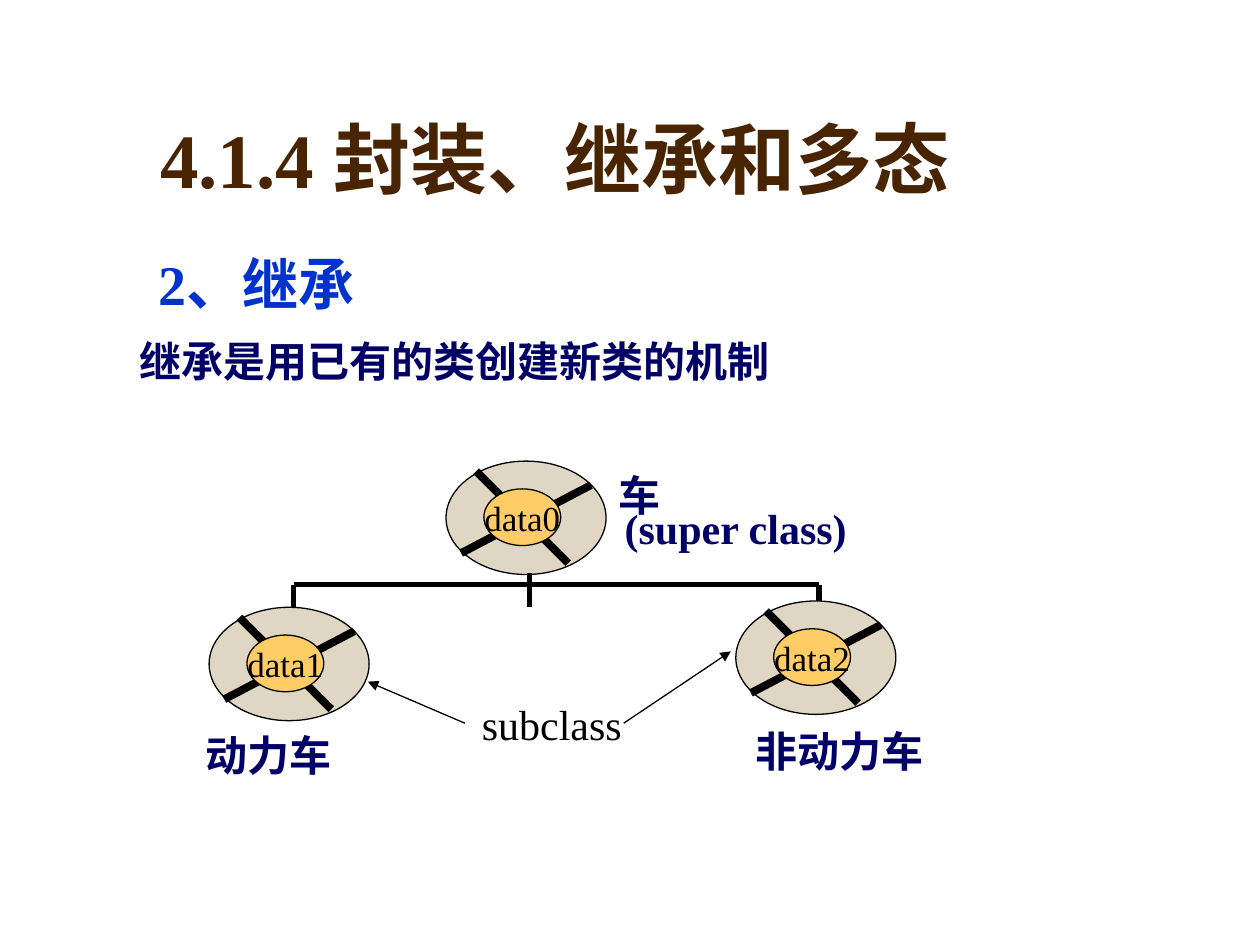
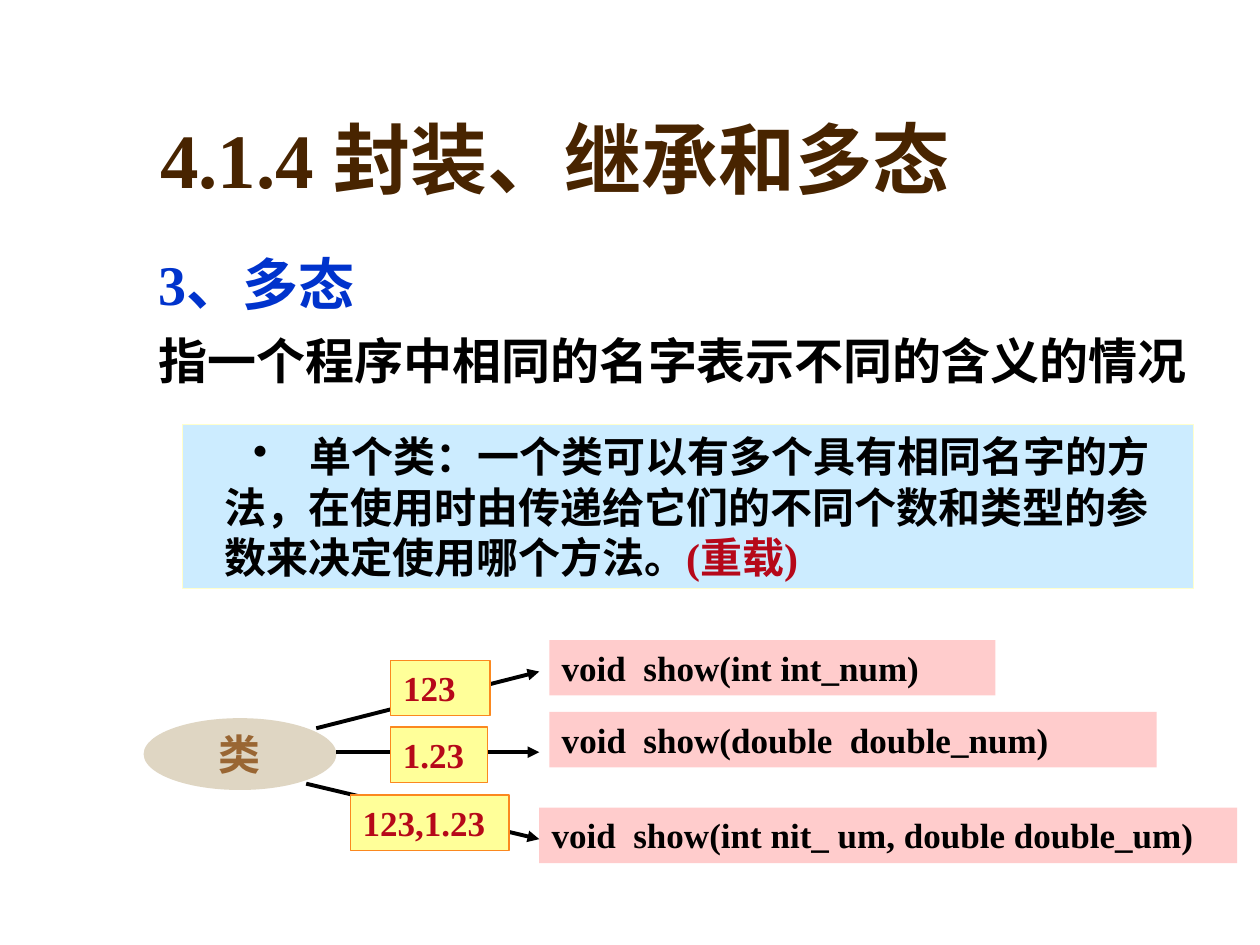
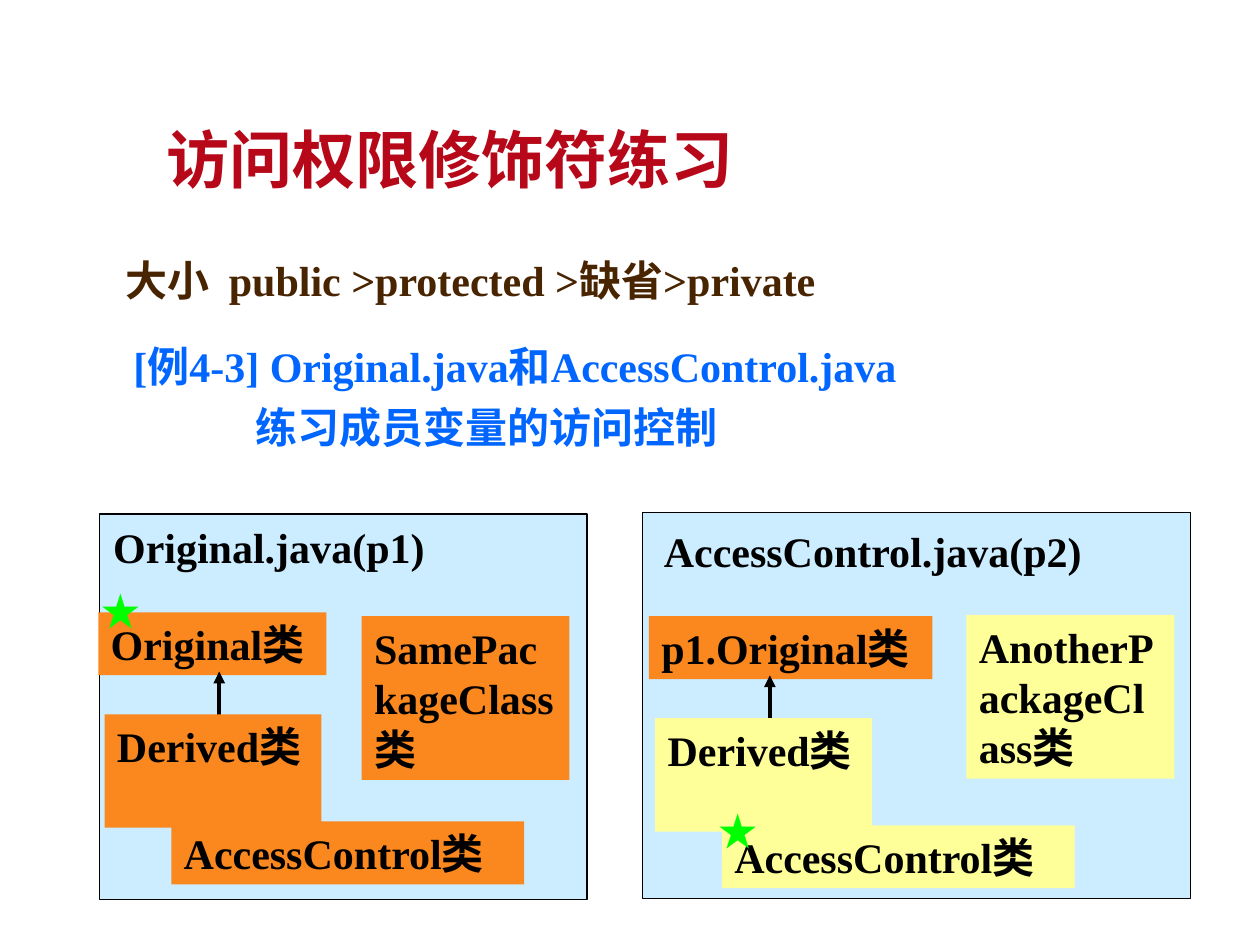
"""Build three slides on inheritance, polymorphism and access control."""
from lxml import etree
from pptx import Presentation
from pptx import util as u
from pptx.dml.color import RGBColor
from pptx.enum import shapes, text
from pptx.oxml.ns import qn

PX = 9144
FACE = "Times New Roman"
INK, NAVY, BROWN, RED = "000000", "000066", "482400", "B60819"
BLUE, SKY, ORANGE, YELLOW = "0033CC", "0066FF", "FB881F", "FFFF99"
SAND, GOLD, PALE, PINK, CREAM, WHITE = "DFD6C3", "FFCC66", "CCECFF", "FFCCCC", "FFFFCC", "FFFFFF"
RECT, OVAL = shapes.MSO_SHAPE.RECTANGLE, shapes.MSO_SHAPE.OVAL
MID, TOP, LOW = text.MSO_ANCHOR.MIDDLE, text.MSO_ANCHOR.TOP, text.MSO_ANCHOR.BOTTOM

HEAD = "4.1.4 封装、继承和多态"
HEAD_BOX, BODY_BOX = (117, 42, 850, 125), (116, 193, 850, 450)
HANG = (38, -38)

WHEELS = [("data2", 584, 477), ("data1", 166, 482), ("data0", 354, 366)]
SPOKES = [(12, 73, 115, 19), (24, 8, 97, 81)]
TREE = [(233, 464, 650, 464), (420, 455, 420, 482), (233, 464, 233, 482), (650, 464, 650, 477)]
NAMES = [("车", (481, 368, 53, 50)), ("(super class)", (486, 394, 197, 50)),
         ("动力车", (153, 574, 120, 50)), ("非动力车", (590, 571, 174, 50))]
LINKS = [(369, 574, 292, 541), (495, 574, 580, 517)]

CALLS = [("void  show(int int_num)", (436, 508, 354, 44)),
         ("void  show(double  double_num)", (436, 565, 482, 44)),
         ("void  show(int nit_ um, double double_um)", (428, 641, 554, 44))]
RAYS = [(251, 578, 428, 533), (243, 622, 428, 666), (267, 597, 428, 597)]
ARGS = [("123", (310, 524, 79, 44)), ("1.23", (310, 577, 77, 44)), ("123,1.23", (278, 631, 126, 44))]

PACKS = [
    dict(frame=(79, 408, 387, 306), at=(78, 486), file="Original.java(p1)", wide=267,
         base="Original类", span=181, other="SamePackageClass类", side=(209, 3), fill=ORANGE),
    dict(frame=(510, 407, 435, 306), at=(515, 489), file="AccessControl.java(p2)", wide=352,
         base="p1.Original类", span=225, other="AnotherPackageClass类", side=(252, -1), fill=YELLOW),
]
STARS = [(70, 455, 54, 57), (560, 630, 53, 57)]


def rgb(code):
    return RGBColor.from_string(code)


def give(thing, **vals):
    for key, val in vals.items():
        setattr(thing, key, val)


def para(p, runs, size=24, color=INK, bold=True, ind=(0, 0), before=0, gap=1.0,
         align=text.PP_ALIGN.LEFT, dot=None):
    give(p, alignment=align, space_before=u.Pt(before), line_spacing=gap)
    ppr = p._p.get_or_add_pPr()
    for key, val in zip(("marL", "indent"), ind):
        ppr.set(key, str(val * PX))
    if dot:
        tint = etree.SubElement(ppr, qn("a:buClr"))
        etree.SubElement(tint, qn("a:srgbClr")).set("val", INK)
        etree.SubElement(ppr, qn("a:buChar")).set("char", dot)
    else:
        etree.SubElement(ppr, qn("a:buNone"))
    for words, tone in ([(runs, color)] if isinstance(runs, str) else runs):
        run = p.add_run()
        run.text = words
        give(run.font, name=FACE, size=u.Pt(size), bold=bold)
        run.font.color.rgb = rgb(tone)


def write(shape, rows, anchor=TOP, wrap=True):
    frame = shape.text_frame
    give(frame, word_wrap=wrap, auto_size=text.MSO_AUTO_SIZE.NONE, vertical_anchor=anchor)
    for i, (runs, form) in enumerate(rows):
        para(frame.add_paragraph() if i else frame.paragraphs[0], runs, **form)


def place(shape, box):
    give(shape, **dict(zip(("left", "top", "width", "height"), (n * PX for n in box))))


def note(slide, box, rows, **kw):
    write(slide.shapes.add_textbox(*(n * PX for n in box)), rows, **kw)


def block(slide, kind, box, fill, line=None, rows=(), **kw):
    shape = slide.shapes.add_shape(kind, *(n * PX for n in box))
    shape.shadow.inherit = False
    shape.fill.solid()
    shape.fill.fore_color.rgb = rgb(fill)
    if line:
        shape.line.color.rgb = rgb(line)
        shape.line.width = u.Pt(0.75)
    else:
        shape.line.fill.background()
    if rows:
        write(shape, rows, **kw)


def rule(slide, ends, width, arrow=False):
    line = slide.shapes.add_connector(shapes.MSO_CONNECTOR.STRAIGHT, *(n * PX for n in ends))
    line.line.color.rgb = rgb(INK)
    line.line.width = u.Pt(width)
    if arrow:
        etree.SubElement(line.line._get_or_add_ln(), qn("a:tailEnd")).set("type", "triangle")
    etree.SubElement(line._element.spPr, qn("a:effectLst"))


def start(deck, layout, title, box=HEAD_BOX, size=44, color=BROWN, body=()):
    slide = deck.slides.add_slide(deck.slide_layouts[layout])
    place(slide.shapes.title, box)
    write(slide.shapes.title, [(title, dict(size=size, color=color))], anchor=LOW)
    if body:
        place(slide.placeholders[1], BODY_BOX)
        write(slide.placeholders[1], [(words, dict(size=pt, color=tone, ind=HANG, before=8))
                                      for words, pt, tone in body])
    return slide


def inherit(deck):
    slide = start(deck, 1, HEAD, body=[("2、继承", 32, BLUE)])
    note(slide, (101, 266, 850, 112),
         [("继承是用已有的类创建新类的机制", dict(color=NAVY, ind=HANG, gap=0.9))])
    plain = dict(bold=False, align=text.PP_ALIGN.CENTER)
    for name, x, y in WHEELS:
        block(slide, OVAL, (x, y, 127, 90), SAND, INK)
        for a, b, c, d in SPOKES:
            rule(slide, (x + a, y + b, x + c, y + d), 4.5)
        block(slide, OVAL, (x + 30, y + 22, 61, 45), GOLD, INK,
              [(name, dict(plain, size=20))], anchor=MID, wrap=False)
    for ends in TREE:
        rule(slide, ends, 3)
    for name, box in NAMES:
        note(slide, box, [(name, dict(color=NAVY))], wrap=False)
    block(slide, RECT, (378, 548, 120, 53), WHITE, WHITE, [("subclass", plain)],
          anchor=MID, wrap=False)
    for ends in LINKS:
        rule(slide, ends, 0.75, True)


def morph(deck):
    slide = start(deck, 1, HEAD, body=[("3、多态", 32, BLUE),
                                       ("指一个程序中相同的名字表示不同的含义的情况", 28, INK)])
    runs = [("　单个类：一个类可以有多个具有相同名字的方法，在使用时由传递给它们的不同个数和类型的参数来决定使用哪个方法。", INK),
            ("(重载)", RED)]
    block(slide, RECT, (145, 337, 802, 130), PALE, CREAM,
          [(runs, dict(ind=(23, 23), before=6, dot="•"))], anchor=MID)
    block(slide, OVAL, (114, 570, 153, 57), SAND, None,
          [("类", dict(color="996633", align=text.PP_ALIGN.CENTER))], anchor=MID, wrap=False)
    for words, box in CALLS:
        block(slide, RECT, box, PINK, None, [(words, dict(size=20))])
    for ends in RAYS:
        rule(slide, ends, 2.25, True)
    for words, box in ARGS:
        block(slide, RECT, box, YELLOW, ORANGE, [(words, dict(size=20, color=RED))])


def access(deck):
    slide = start(deck, 5, "访问权限修饰符练习", (122, 36, 903, 125), 36, RED)
    note(slide, (90, 193, 734, 54),
         [("大小  public >protected >缺省>private", dict(color=BROWN, gap=1.1))])
    note(slide, (96, 265, 904, 99),
         [("[例4-3] Original.java和AccessControl.java", dict(color=SKY, before=6)),
          ("练习成员变量的访问控制", dict(color=SKY, before=6, ind=(97, 0)))])
    for pack in PACKS:
        x, y = pack["at"]
        dx, dy = pack["side"]
        block(slide, RECT, pack["frame"], PALE, INK)
        note(slide, (x + 2, y - 77, pack["wide"], 50), [(pack["file"], {})], wrap=False)
        block(slide, RECT, (x, y, pack["span"], 50), ORANGE, None, [(pack["base"], {})], wrap=False)
        rule(slide, (x + 96, y + 82, x + 96, y + 47), 2.25, True)
        for words, box in [("Derived类", (x + 5, y + 81, 172, 90)),
                           (pack["other"], (x + dx, y + dy, 165, 130)),
                           ("AccessControl类", (x + 58, y + 166, 280, 50))]:
            block(slide, RECT, box, pack["fill"], None, [(words, {})])
    for box in STARS:
        note(slide, box, [("★", dict(size=28, color="00FF00", bold=False))])


def main():
    deck = Presentation()
    give(deck, slide_width=1000 * PX, slide_height=750 * PX)
    for build in (inherit, morph, access):
        build(deck)
    deck.save("out.pptx")


if __name__ == "__main__":
    main()
